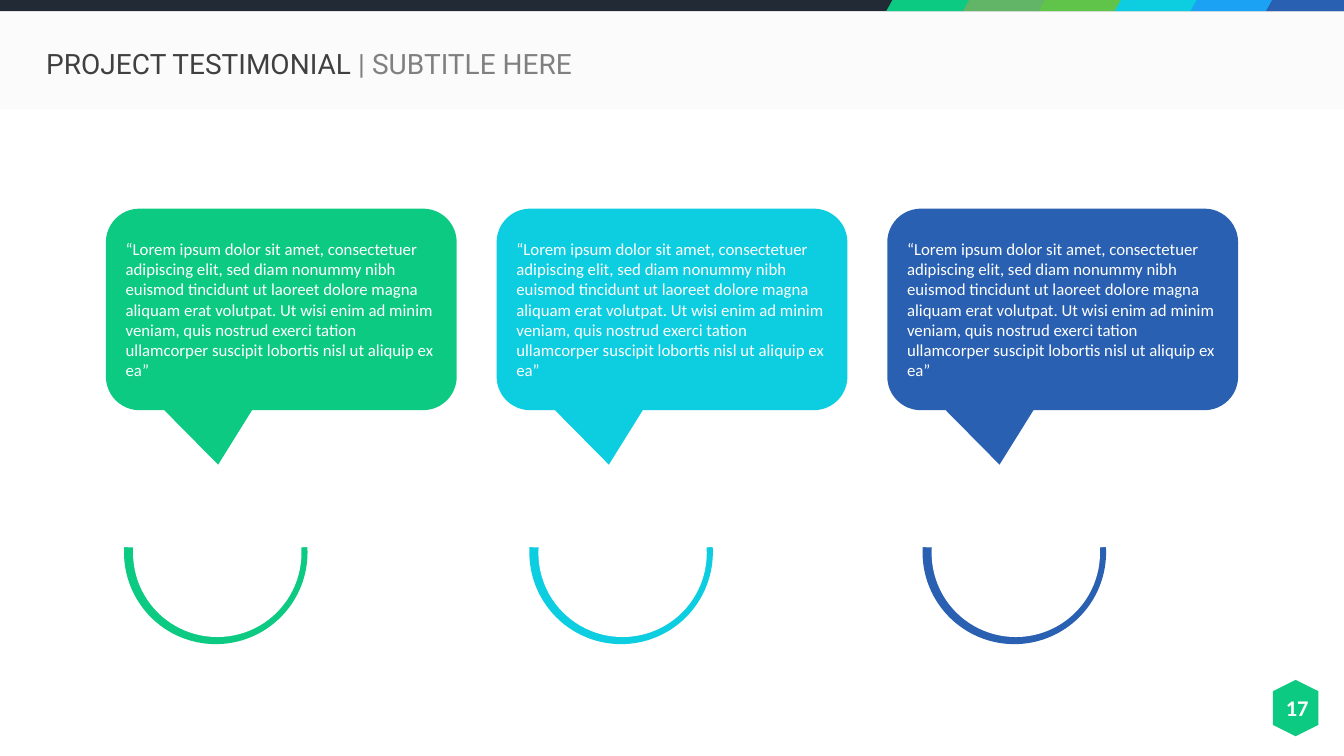
from lxml import etree
from pptx import Presentation
from pptx.dml.color import RGBColor
from pptx.enum.shapes import MSO_SHAPE
from pptx.enum.text import MSO_ANCHOR, PP_ALIGN
from pptx.oxml.ns import qn
from pptx.util import Inches, Pt

RECT, OVAL, PIE = MSO_SHAPE.RECTANGLE, MSO_SHAPE.OVAL, MSO_SHAPE.CHORD and MSO_SHAPE.PIE
SLANT, HEXAGON = MSO_SHAPE.PARALLELOGRAM, MSO_SHAPE.HEXAGON
CALLOUT = MSO_SHAPE.ROUNDED_RECTANGULAR_CALLOUT
LEFT, CENTER = PP_ALIGN.LEFT, PP_ALIGN.CENTER
TOP, MIDDLE = MSO_ANCHOR.TOP, MSO_ANCHOR.MIDDLE

WHITE = RGBColor(0xFF, 0xFF, 0xFF)
PALE = RGBColor(0xF2, 0xF2, 0xF2)
NAVY = RGBColor(0x22, 0x2A, 0x35)
DARK = RGBColor(0x40, 0x40, 0x40)
GRAY = RGBColor(0x80, 0x80, 0x80)
GREEN = RGBColor(0x0C, 0xCA, 0x82)
SAGE = RGBColor(0x62, 0xB4, 0x66)
LIME = RGBColor(0x61, 0xC4, 0x4A)
CYAN = RGBColor(0x0D, 0xCD, 0xE1)
SKY = RGBColor(0x1B, 0xA2, 0xF5)
BLUE = RGBColor(0x29, 0x60, 0xB1)

TITLE = [("PROJECT TESTIMONIAL ", DARK), ("| SUBTITLE HERE", GRAY)]
PAGE = "17"
QUOTE = (
    "“Lorem ipsum dolor sit amet, consectetuer adipiscing elit, sed diam nonummy nibh "
    "euismod tincidunt ut laoreet dolore magna aliquam erat volutpat. Ut wisi enim ad "
    "minim veniam, quis nostrud exerci tation ullamcorper suscipit lobortis nisl ut "
    "aliquip ex ea”"
)
TESTIMONIALS = [(QUOTE, GREEN, 1.23), (QUOTE, CYAN, 5.25), (QUOTE, BLUE, 9.15)]
STRIPES = [GREEN, SAGE, LIME, CYAN, SKY]

WIDTH, HEIGHT, BAR = 13.33, 7.5, 0.11
STRIPE_LEFT, STRIPE_STEP = 8.79, 0.7525
CALLOUT_LEFT, CALLOUT_STEP = 1.05, 3.875

prs = Presentation()
prs.slide_width, prs.slide_height = Inches(WIDTH), Inches(HEIGHT)
s = prs.slides.add_slide(prs.slide_layouts[6])


def paint(sp, color):
    sp.shadow.inherit = False
    sp.fill.solid()
    sp.fill.fore_color.rgb = color
    sp.line.fill.background()


def add_shape(kind, x, y, w, h, color, adj=()):
    sp = s.shapes.add_shape(kind, Inches(x), Inches(y), Inches(w), Inches(h))
    paint(sp, color)
    for i, value in enumerate(adj):
        sp.adjustments[i] = value
    return sp


def add_textbox(x, y, w, h):
    return s.shapes.add_textbox(Inches(x), Inches(y), Inches(w), Inches(h))


def write(sp, runs, size, font="Calibri", bold=False, align=LEFT, anchor=MIDDLE, spacing=None):
    tf = sp.text_frame
    tf.word_wrap = True
    tf.vertical_anchor = anchor
    p = tf.paragraphs[0]
    p.alignment = align
    p.line_spacing = spacing
    for text, color in runs:
        r = p.add_run()
        r.text = text
        r.font.size = Pt(size)
        r.font.name = font
        r.font.bold = bold
        r.font.color.rgb = color


band = add_shape(RECT, 0, BAR, WIDTH, 0.97, PALE)
tint = band.fill._xPr.find(qn("a:solidFill"))[0]
etree.SubElement(tint, qn("a:alpha")).set("val", "29000")

add_shape(RECT, 0, 0, WIDTH, BAR, NAVY)
for i, color in reversed(list(enumerate(STRIPES))):
    add_shape(SLANT, STRIPE_LEFT + i * STRIPE_STEP, 0, 0.82, BAR, color, [0.562])
corner = s.shapes.build_freeform(Inches(12.62), 0)
corner.add_line_segments(
    [(Inches(x), Inches(y)) for x, y in [(WIDTH, 0), (WIDTH, BAR), (12.56, BAR)]]
)
paint(corner.convert_to_shape(), BLUE)

badge = add_shape(HEXAGON, 12.57, 6.8, 0.56, 0.45, GREEN)
badge.rotation = 90
write(add_textbox(12.56, 6.84, 0.61, 0.37), [(PAGE, WHITE)], 16,
      bold=True, align=CENTER, anchor=TOP)

for i, (quote, color, x) in enumerate(TESTIMONIALS):
    add_shape(OVAL, x, 4.57, 1.82, 1.82, color)
    add_shape(PIE, x - 0.09, 4.46, 2.02, 1.96, WHITE, [108.398, 215.584])
    add_shape(OVAL, x + 0.09, 4.65, 1.67, 1.67, WHITE)
    bubble = add_shape(CALLOUT, CALLOUT_LEFT + i * CALLOUT_STEP, 2.07, 3.48, 2, color,
                       [-0.18, 0.77, 0.167])
    write(bubble, [(quote, WHITE)], 12)

write(add_textbox(0.36, 0.37, 7.42, 0.55), TITLE, 20, font="Roboto", spacing=0.9)

prs.save("out.pptx")
